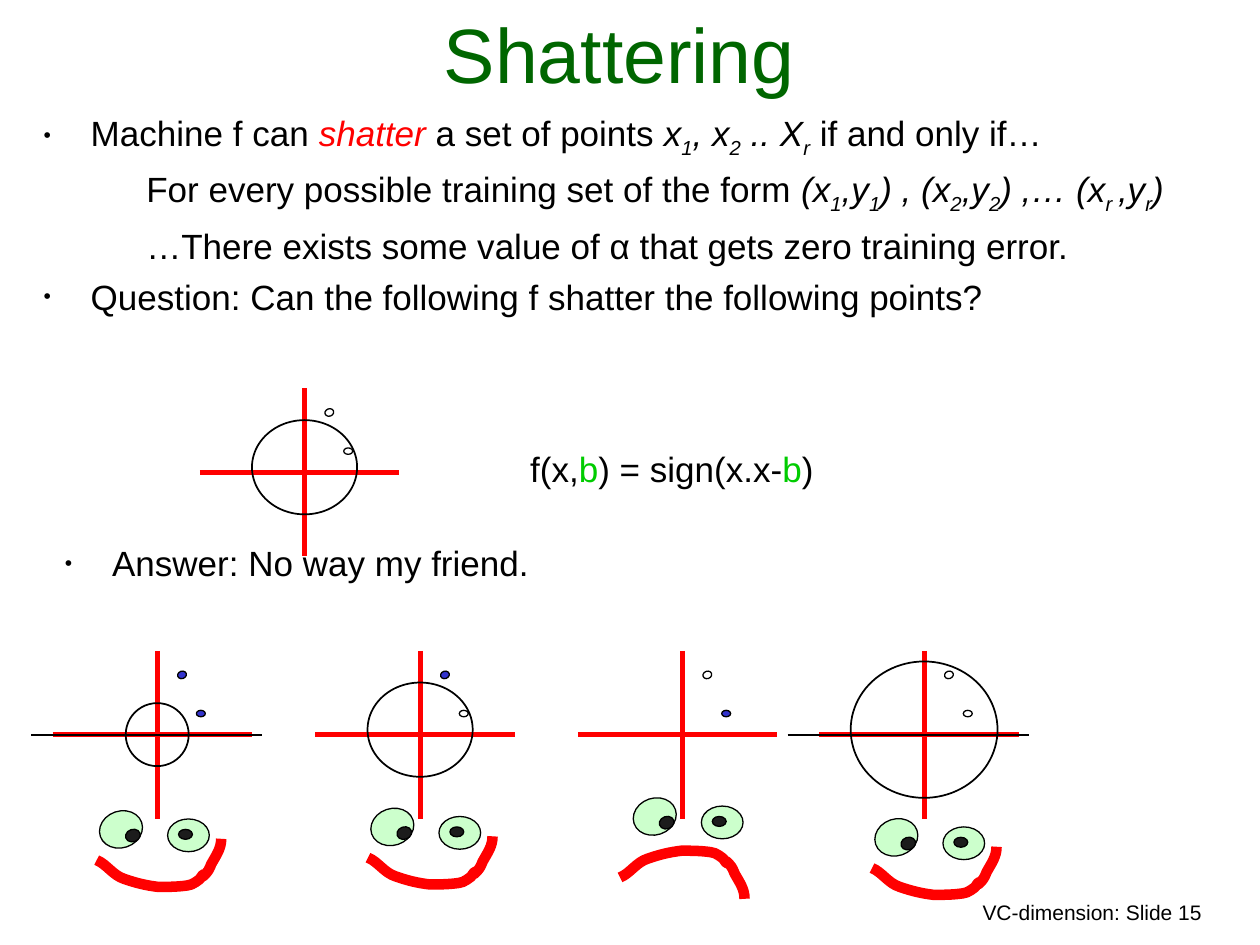
import pptx
import pptx.dml.color
import pptx.enum.shapes
import pptx.enum.text
import pptx.oxml.ns
import pptx.util
from lxml import etree

Cm = pptx.util.Cm
Pt = pptx.util.Pt
qn = pptx.oxml.ns.qn
ALIGN = pptx.enum.text.PP_ALIGN
ANCHOR = pptx.enum.text.MSO_ANCHOR
BLACK, WHITE, RED, GREEN, BLUE = "000000", "FFFFFF", "FF0000", "00CC00", "3333CC"
TILT = 341.4
SMILE = [(0, 0.43), (0.2, 0.51), (0.33, 0.74), (0.56, 0.81), (0.79, 0.89), (0.99, 0.94),
         (1.24, 0.97), (1.42, 0.97), (1.63, 0.97), (1.83, 0.94), (1.93, 0.94), (2.08, 0.81),
         (2.08, 0.81), (2.24, 0.58), (2.03, 0.89), (2.21, 0.69), (2.26, 0.64), (2.29, 0.56),
         (2.31, 0.51), (2.41, 0.33), (2.51, 0.2), (2.51, 0)]
MOUTH_HEIGHT = 0.97


def color(hex_value):
    return pptx.dml.color.RGBColor.from_string(hex_value)


def formula(*parts):
    return [(part, {"italic": True, "subscript": index % 2 == 1})
            for index, part in enumerate(parts)]


class ShatteringSlide:
    """Draw text, plots and faces in one style on the current slide."""

    font = "Arial"

    def __init__(self, slide):
        self.slide = slide

    def text(self, left, top, width, height, paragraphs, anchor=ANCHOR.TOP):
        frame = self.slide.shapes.add_textbox(Cm(left), Cm(top), Cm(width), Cm(height)).text_frame
        for name, value in {"word_wrap": True, "vertical_anchor": anchor}.items():
            setattr(frame, name, value)
        for index, (runs, style) in enumerate(paragraphs):
            paragraph = frame.add_paragraph() if index else frame.paragraphs[0]
            self.paragraph(paragraph, runs, **style)

    def paragraph(self, paragraph, runs, size=20, hue=BLACK, align=ALIGN.LEFT,
                  before=5, margin=0, indent=0, bullet=False):
        paragraph.alignment = align
        paragraph.space_before = Pt(before)
        properties = paragraph._p.get_or_add_pPr()
        properties.set("marL", str(Cm(margin)))
        properties.set("indent", str(Cm(indent)))
        if bullet:
            bullet_color = etree.SubElement(properties, qn("a:buClr"))
            etree.SubElement(bullet_color, qn("a:srgbClr"), val=BLACK)
            etree.SubElement(properties, qn("a:buSzPct"), val="60000")
            etree.SubElement(properties, qn("a:buFont"), typeface=self.font)
            etree.SubElement(properties, qn("a:buChar"), char="•")
        for words, style in runs:
            run = paragraph.add_run()
            run.text = words
            formats = {"name": self.font, "size": Pt(size), "italic": style.get("italic", False)}
            for name, value in formats.items():
                setattr(run.font, name, value)
            run.font.color.rgb = color(style.get("hue", hue))
            if style.get("subscript"):
                run._r.get_or_add_rPr().set("baseline", "-25000")

    def outline(self, shape, hue, weight):
        shape.line.color.rgb = color(hue)
        shape.line.width = Pt(weight)

    def line(self, x1, y1, x2, y2, hue, weight):
        connector = self.slide.shapes.add_connector(
            pptx.enum.shapes.MSO_CONNECTOR.STRAIGHT, Cm(x1), Cm(y1), Cm(x2), Cm(y2))
        self.outline(connector, hue, weight)
        etree.SubElement(connector._element.spPr, qn("a:effectLst"))

    def ellipse(self, left, top, width, height, fill=None, weight=0.75, rotation=0):
        oval = self.slide.shapes.add_shape(
            pptx.enum.shapes.MSO_SHAPE.OVAL, Cm(left), Cm(top), Cm(width), Cm(height))
        oval.rotation = rotation
        oval.shadow.inherit = False
        if fill:
            oval.fill.solid()
            oval.fill.fore_color.rgb = color(fill)
        else:
            oval.fill.background()
        self.outline(oval, BLACK, weight)

    def plot(self, x, y, far, near):
        self.line(x, y - 1.69, x, y + 1.69, RED, 3)
        self.line(x - 2.11, y, x + 1.91, y, RED, 3)
        self.ellipse(x + 0.79, y - 0.49, 0.18, 0.13, near)
        self.ellipse(x + 0.41, y - 1.28, 0.18, 0.15, far, rotation=TILT)

    def boundary(self, x, y, width, height):
        self.ellipse(x - width / 2, y - height / 2, width, height, weight=1)

    def mouth(self, x, y, happy):
        points = [(Cm(x + dx), Cm(y + (dy if happy else MOUTH_HEIGHT - dy)))
                  for dx, dy in SMILE]
        builder = self.slide.shapes.build_freeform(*points[0])
        builder.add_line_segments(points[1:], close=False)
        lips = builder.convert_to_shape()
        segments = list(lips._element.iter(qn("a:lnTo")))
        for start in range(0, len(segments), 3):
            first, *others = segments[start:start + 3]
            curve = etree.Element(qn("a:cubicBezTo"))
            first.addprevious(curve)
            for segment in (first, *others):
                curve.append(segment[0])
                segment.getparent().remove(segment)
        lips.shadow.inherit = False
        lips.fill.background()
        self.outline(lips, RED, 6)

    def face(self, x, y, happy):
        if happy:
            self.mouth(x - 0.05, y + 0.56, happy)
        else:
            self.mouth(x - 0.26, y + 1.06, happy)
        self.ellipse(x + 1.38, y + 0.16, 0.84, 0.66, "CCFFCC")
        self.ellipse(x, y, 0.88, 0.74, "CCFFCC", rotation=TILT)
        self.ellipse(x + 1.6, y + 0.37, 0.28, 0.2, "1C1C1C")
        self.ellipse(x + 0.53, y + 0.37, 0.3, 0.25, "1C1C1C", rotation=TILT)


def main():
    deck = pptx.Presentation()
    deck.slide_width, deck.slide_height = Cm(25.4), Cm(19.05)
    page = ShatteringSlide(deck.slides.add_slide(deck.slide_layouts[6]))
    bulleted = {"margin": 0.95, "indent": -0.95, "bullet": True}
    nested = {"margin": 2.05, "indent": 0.02}

    page.text(14.52, 18.01, 9.96, 0.76, [
        ([("VC-dimension: Slide 15", {})], {"size": 12, "align": ALIGN.RIGHT, "before": 7.5})])
    page.text(0.64, 0.21, 23.7, 1.91, [
        ([("Shattering", {})],
         {"size": 44, "hue": "006600", "align": ALIGN.CENTER, "before": 0})], ANCHOR.BOTTOM)
    page.text(0.63, 2.12, 23.83, 5.72, [
        ([("Machine f can ", {}), ("shatter", {"hue": RED, "italic": True}),
          (" a set of points ", {}), *formula("x", "1", ", x", "2", " .. X", "r"),
          (" if and only if…", {})], bulleted),
        ([("For every possible training set of the form ", {}),
          *formula("(x", "1", ",y", "1", ") , (x", "2", ",y", "2",
                   ") ,… (x", "r ", ",y", "r", ")")], nested),
        ([("…There exists some value of α that gets zero training error.", {})], nested),
        ([("Question: Can the following f shatter the following points?", {})], bulleted)])
    page.text(9.1, 8.89, 8.89, 1.12, [
        ([("f(x,", {}), ("b", {"hue": GREEN}), (") = sign(x.x-", {}),
          ("b", {"hue": GREEN}), (")", {})], {"align": ALIGN.CENTER, "before": 12.5})])

    page.plot(6.14, 9.52, WHITE, WHITE)
    page.text(1.06, 10.8, 23.83, 1.27, [([("Answer: No way my friend.", {})], bulleted)])
    page.boundary(6.14, 9.42, 2.12, 1.9)

    labelings = [
        (3.17, BLUE, BLUE, 2.54, (0, 1.27, 1.27), (2, 16.35, True)),
        (8.47, BLUE, WHITE, None, (-0.1, 2.12, 1.9), (7.47, 16.3, True)),
        (13.76, WHITE, BLUE, None, None, (12.76, 16.09, False)),
        (18.63, WHITE, WHITE, 2.75, (-0.1, 2.96, 2.75), (17.63, 16.51, True))]
    axis_y = 14.81
    for x, far, near, reach, circle, face in labelings:
        page.plot(x, axis_y, far, near)
        if reach:
            page.line(x - reach, axis_y, x + 2.12, axis_y, BLACK, 1)
        if circle:
            shift, width, height = circle
            page.boundary(x, axis_y + shift, width, height)
        page.face(*face)
    deck.save("out.pptx")


if __name__ == "__main__":
    main()
